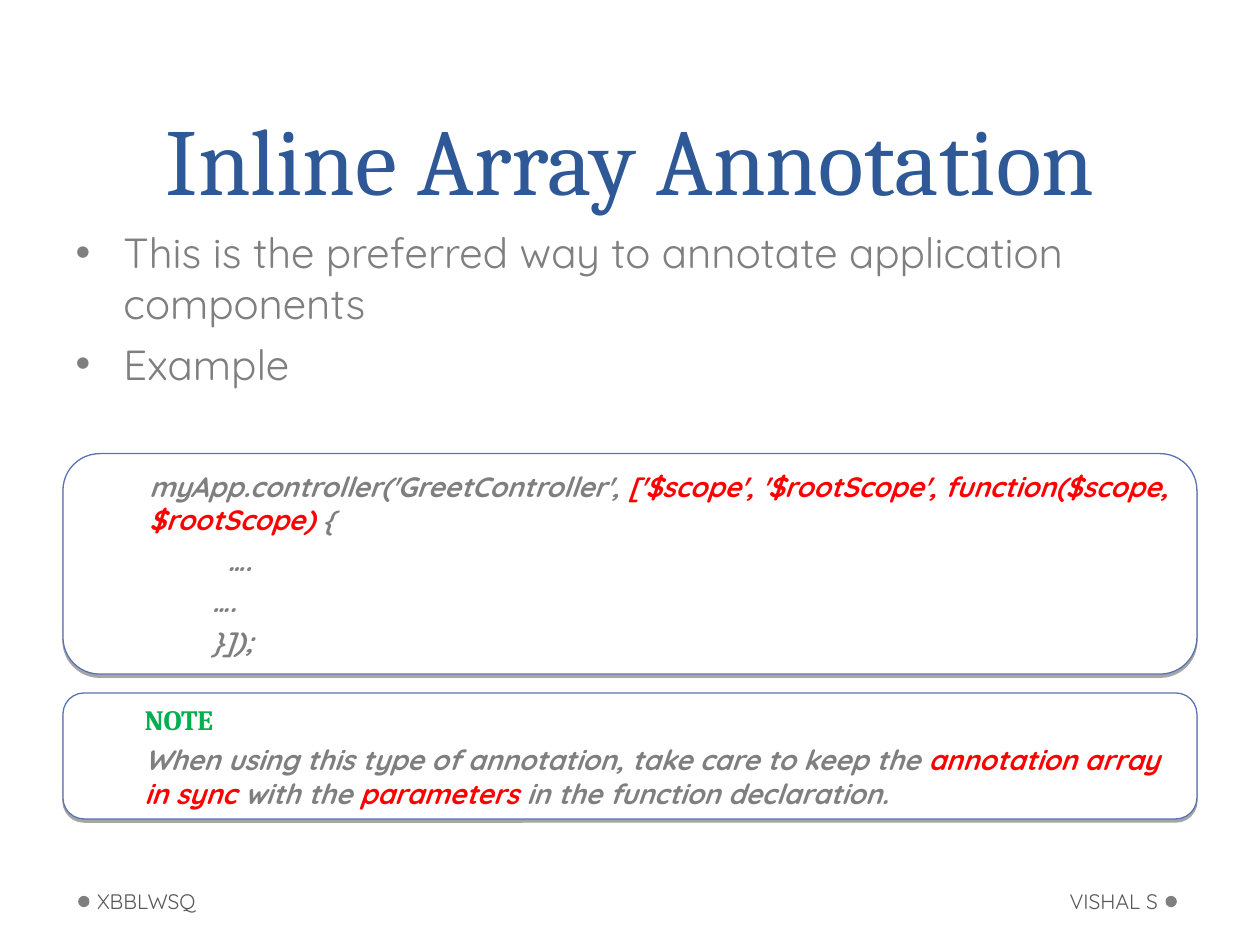
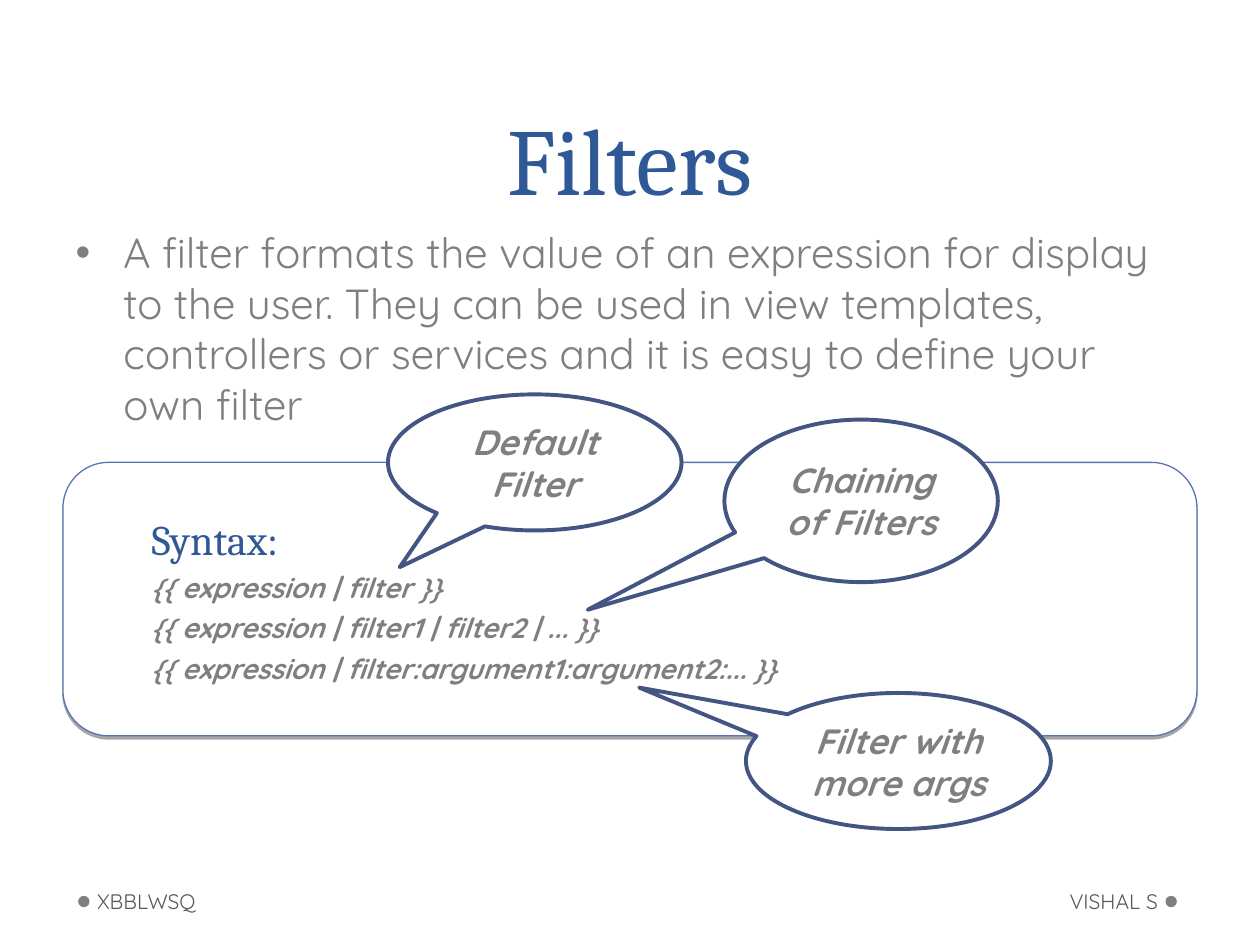
"""Build two slides on annotating components and using filters."""
from dataclasses import dataclass

import lxml.etree
import pptx
import pptx.dml.color
import pptx.enum.shapes
import pptx.enum.text
import pptx.oxml.ns
import pptx.util

Inches = pptx.util.Inches
Pt = pptx.util.Pt
qn = pptx.oxml.ns.qn
Align = pptx.enum.text.PP_ALIGN
Anchor = pptx.enum.text.MSO_ANCHOR
Shape = pptx.enum.shapes.MSO_SHAPE


@dataclass(frozen=True)
class Theme:
    heading_font: str = "Cambria"
    text_font: str = "Quicksand"
    heading: str = "2F5897"
    text: str = "7F7F7F"
    footer: str = "595959"
    accent: str = "FF0000"
    note: str = "00B050"
    paper: str = "FFFFFF"
    panel_line: str = "5C72B2"
    callout_line: str = "445583"
    shadow: str = "000000"
    title_size: int = 54
    body_size: int = 24
    callout_size: int = 20
    panel_size: int = 16
    footer_size: int = 12


THEME = Theme()


def rgb(value):
    return pptx.dml.color.RGBColor.from_string(value)


def write(paragraph, text, *, size, font=THEME.text_font, color=THEME.text,
          bold=False, italic=False):
    run = paragraph.add_run()
    run.text = text
    run.font.name = font
    run.font.size = Pt(size)
    run.font.color.rgb = rgb(color)
    run.font.bold = bold
    run.font.italic = italic


PLAIN = dict(size=THEME.panel_size, bold=True, italic=True)
RED = PLAIN | dict(color=THEME.accent)
NOTE = dict(size=THEME.panel_size, font=THEME.heading_font, color=THEME.note, bold=True)
SYNTAX = dict(size=THEME.body_size, font=THEME.heading_font, color=THEME.heading)


class Deck:
    def __init__(self, theme):
        self.theme = theme
        self.presentation = pptx.Presentation()
        self.presentation.slide_width = Inches(10)
        self.presentation.slide_height = Inches(7.5)
        self.slide = None

    def start(self, title, points):
        layout = self.presentation.slide_layouts[1]
        self.slide = self.presentation.slides.add_slide(layout)
        self.title(title)
        self.points(points)

    def place(self, part, left, top, width, height):
        part.left, part.top = Inches(left), Inches(top)
        part.width, part.height = Inches(width), Inches(height)

    def title(self, text):
        heading = self.slide.shapes.title
        self.place(heading, 0.5, 0, 9, 1.75)
        heading.text_frame.vertical_anchor = Anchor.BOTTOM
        heading.text_frame.auto_size = pptx.enum.text.MSO_AUTO_SIZE.NONE
        paragraph = heading.text_frame.paragraphs[0]
        paragraph.alignment = Align.CENTER
        paragraph.line_spacing = Pt(58)
        write(paragraph, text, size=self.theme.title_size,
              font=self.theme.heading_font, color=self.theme.heading)

    def points(self, points):
        body = self.slide.placeholders[1]
        self.place(body, 0.5, 1.75, 9, 4.95)
        body.text_frame.auto_size = pptx.enum.text.MSO_AUTO_SIZE.NONE
        for paragraph, point in self.paragraphs(body.text_frame, points, 6):
            self.indent(paragraph, 0.38, -0.38)
            write(paragraph, point, size=self.theme.body_size)

    def paragraphs(self, frame, contents, gap):
        for index, content in enumerate(contents):
            paragraph = frame.add_paragraph() if index else frame.paragraphs[0]
            paragraph.space_before = Pt(gap if index else 0)
            yield paragraph, content

    def indent(self, paragraph, margin, first_line):
        properties = paragraph._p.get_or_add_pPr()
        properties.set("marL", str(Inches(margin)))
        properties.set("indent", str(Inches(first_line)))
        return properties

    def outline(self, kind, box, line, weight, adjustments):
        figure = self.slide.shapes.add_shape(kind, *map(Inches, box))
        figure.shadow.inherit = False
        figure.fill.solid()
        figure.fill.fore_color.rgb = rgb(self.theme.paper)
        figure.line.color.rgb = rgb(line)
        figure.line.width = Pt(weight)
        for index, value in enumerate(adjustments):
            figure.adjustments[index] = value
        figure.text_frame.word_wrap = True
        figure.text_frame.vertical_anchor = Anchor.MIDDLE
        return figure

    def panel(self, top, height, lines):
        panel = self.outline(Shape.ROUNDED_RECTANGLE, (0.5, top, 9, height),
                             self.theme.panel_line, 0.75, [0.167])
        self.drop_shadow(panel)
        for paragraph, runs in self.paragraphs(panel.text_frame, lines, 4):
            paragraph.alignment = Align.LEFT
            properties = self.indent(paragraph, 0.5, 0)
            tabs = lxml.etree.SubElement(properties, qn("a:tabLst"))
            lxml.etree.SubElement(tabs, qn("a:tab"), pos=str(Inches(1)), algn="l")
            for text, style in runs:
                write(paragraph, text, **style)

    def drop_shadow(self, panel):
        effects = panel._element.spPr.find(qn("a:effectLst"))
        shadow = lxml.etree.SubElement(
            effects, qn("a:outerShdw"), blurRad="0", dist=str(Pt(1.8)),
            dir="5400000", rotWithShape="0")
        color = lxml.etree.SubElement(shadow, qn("a:srgbClr"), val=self.theme.shadow)
        lxml.etree.SubElement(color, qn("a:alpha"), val="35000")

    def callout(self, text, box, tip):
        callout = self.outline(Shape.OVAL_CALLOUT, box, self.theme.callout_line, 2.25, tip)
        paragraph = callout.text_frame.paragraphs[0]
        paragraph.alignment = Align.CENTER
        write(paragraph, text, size=self.theme.callout_size, bold=True, italic=True)

    def footer(self):
        self.footer_text("XBBLWSQ", 0.72, 3.11, Align.LEFT, 0.05, 0.1)
        self.footer_text("VISHAL S", 6.96, 2.28, Align.RIGHT, 0.1, 0.05)
        for left in (0.62, 9.25):
            dot = self.slide.shapes.add_shape(
                Shape.OVAL, *map(Inches, (left, 7.11, 0.09, 0.09)))
            dot.shadow.inherit = False
            dot.fill.solid()
            dot.fill.fore_color.rgb = rgb(self.theme.text)
            dot.line.fill.background()

    def footer_text(self, text, left, width, alignment, left_inset, right_inset):
        label = self.slide.shapes.add_textbox(*map(Inches, (left, 6.95, width, 0.4)))
        frame = label.text_frame
        frame.word_wrap = True
        frame.vertical_anchor = Anchor.MIDDLE
        frame.margin_left, frame.margin_right = Inches(left_inset), Inches(right_inset)
        frame.paragraphs[0].alignment = alignment
        write(frame.paragraphs[0], text, size=self.theme.footer_size,
              color=self.theme.footer)


def add_annotation_slide(deck):
    deck.start("Inline Array Annotation", [
        "This is the preferred way to annotate application components",
        "Example",
    ])
    deck.panel(3.6, 1.75, [
        [("myApp.controller('GreetController', ", PLAIN),
         ("['$scope', '$rootScope', function($scope, $rootScope) ", RED),
         ("{", PLAIN)],
        [("\t  ….", PLAIN)],
        [("\t….", PLAIN)],
        [("\t}]);", PLAIN)],
    ])
    deck.panel(5.5, 1, [
        [("NOTE", NOTE)],
        [("When using this type of annotation, take care to keep the ", PLAIN),
         ("annotation array in sync ", RED),
         ("with the ", PLAIN),
         ("parameters", RED),
         (" in the function declaration.", PLAIN)],
    ])
    deck.footer()


def add_filters_slide(deck):
    deck.start("Filters", [
        "A filter formats the value of an expression for display to the user. "
        "They can be used in view templates, controllers or services and it is "
        "easy to define your own filter",
    ])
    deck.panel(3.67, 2.17, [
        [("Syntax:", SYNTAX)],
        [("{{ expression | filter }}", PLAIN)],
        [("{{ expression | filter1 | filter2 | ... }}", PLAIN)],
        [("{{ expression | filter:argument1:argument2:... }}", PLAIN)],
    ])
    deck.callout("Default Filter", (3.08, 3.13, 2.33, 1.08), (-0.46, 0.77))
    deck.callout("Chaining of Filters", (5.75, 3.33, 2.17, 1.29), (-1, 0.67))
    deck.callout("Filter with more args", (5.92, 5.5, 2.42, 1.08), (-0.85, -0.54))
    deck.footer()


def main():
    deck = Deck(THEME)
    add_annotation_slide(deck)
    add_filters_slide(deck)
    deck.presentation.save("out.pptx")


if __name__ == "__main__":
    main()
